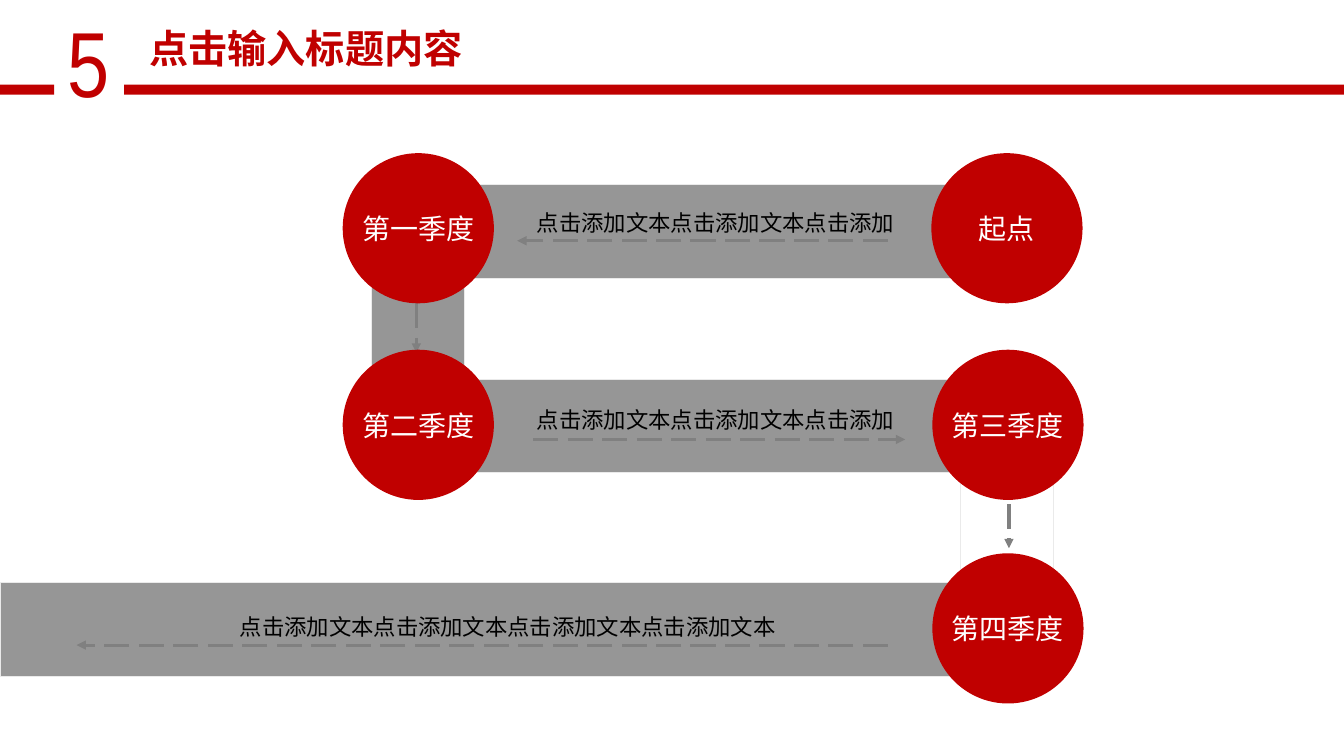
from lxml import etree
from pptx import Presentation
from pptx.dml.color import RGBColor
from pptx.enum import dml, shapes, text
from pptx.oxml.ns import qn
from pptx.util import Pt

RED, GREY, ARROW, EDGE = "C00000", "969696", "808080", "EAEAEA"
WHITE, BLACK = "FFFFFF", "000000"
CJK = "Noto Sans CJK SC"
CIRCLE_W, CIRCLE_H = 108, 107.3
LABEL = "点击添加文本"

# Each leg: band (left, top, width, height), band fill, arrow (x1, y1, x2, y2)
LEGS = [
    ((0, 306.7, 752.4, 67), GREY, (634.3, 351.4, 54.7, 351.4)),
    ((291.6, 162, 460.8, 66.2), GREY, (380.9, 204.5, 646.6, 204.5)),
    ((686.2, 193.7, 66.2, 182.9), WHITE, (720.7, 250.6, 720.7, 282.2)),
    ((329, 22.3, 422.6, 67), GREY, (634.3, 62.6, 369.4, 62.6)),
    ((265.7, 22.3, 66.2, 205.9), GREY, (297.4, 107.3, 297.4, 142.6)),
]
STOPS = [
    ("起点", 665.3, 0),
    ("第一季度", 244.8, 0),
    ("第二季度", 244.8, 140.4),
    ("第三季度", 666, 140.4),
    ("第四季度", 666, 285.8),
]
CAPTIONS = [
    (LABEL * 2 + "点击添加", 371.5, 26.6, 279.4),
    (LABEL * 2 + "点击添加", 371.5, 167.8, 279.4),
    (LABEL * 4, 91.4, 315.4, 542.9),
]


def colour(value):
    return RGBColor.from_string(value)


def write(frame, words, size, font, ink, align=text.PP_ALIGN.CENTER, bold=False):
    para = frame.paragraphs[0]
    para.alignment = align
    span = para.add_run()
    span.text = words
    span.font.size = Pt(size)
    span.font.name = font
    span.font.bold = bold
    span.font.color.rgb = colour(ink)
    if font == CJK:
        east_asian = etree.SubElement(span.font._element, qn("a:ea"))
        east_asian.set("typeface", font)
    return para


def add_block(page, kind, left, top, width, height, fill, edge=None):
    block = page.shapes.add_shape(kind, Pt(left), Pt(top), Pt(width), Pt(height))
    block.shadow.inherit = False
    block.fill.solid()
    block.fill.fore_color.rgb = colour(fill)
    if edge:
        block.line.color.rgb = colour(edge)
        block.line.width = Pt(0.75)
    else:
        block.line.fill.background()
    return block


def add_arrow(page, x1, y1, x2, y2):
    arrow = page.shapes.add_connector(
        shapes.MSO_CONNECTOR.STRAIGHT, Pt(x1), Pt(y1), Pt(x2), Pt(y2))
    arrow.line.color.rgb = colour(ARROW)
    arrow.line.width = Pt(2.25)
    arrow.line.dash_style = dml.MSO_LINE.LONG_DASH
    head = etree.SubElement(arrow.line._get_or_add_ln(), qn("a:tailEnd"))
    head.set("type", "triangle")
    etree.SubElement(arrow._element.spPr, qn("a:effectLst"))


def add_header(page, left, top, width):
    for offset, length in ((-2.2, 41), (88.6, width - 88.6)):
        add_block(page, shapes.MSO_SHAPE.RECTANGLE,
                  left + offset, top + 60.5, length, 7.2, RED)

    number = page.shapes.add_textbox(Pt(left + 41), Pt(top), Pt(24.5), Pt(87.1))
    number.text_frame.word_wrap = True
    write(number.text_frame, "5", 66, "Arial Narrow", RED, text.PP_ALIGN.LEFT)

    title = page.shapes.title
    title.left, title.top = Pt(left + 89.3), Pt(top + 13.7)
    title.width, title.height = Pt(258.5), Pt(41)
    frame = title.text_frame
    frame.auto_size = text.MSO_AUTO_SIZE.NONE
    frame.word_wrap = True
    frame.vertical_anchor = text.MSO_ANCHOR.MIDDLE
    write(frame, "点击输入标题内容", 28, CJK, RED, bold=True)


def add_route(page, left, top):
    """Draw the winding road from the start through the four quarters."""
    for (x, y, width, height), fill, (x1, y1, x2, y2) in LEGS:
        add_block(page, shapes.MSO_SHAPE.RECTANGLE,
                  left + x, top + y, width, height, fill, EDGE)
        add_arrow(page, left + x1, top + y1, left + x2, top + y2)

    for name, x, y in STOPS:
        stop = add_block(page, shapes.MSO_SHAPE.OVAL,
                         left + x, top + y, CIRCLE_W, CIRCLE_H, RED)
        stop.text_frame.word_wrap = False
        stop.text_frame.vertical_anchor = text.MSO_ANCHOR.MIDDLE
        write(stop.text_frame, name, 20, "Calibri", WHITE)

    for words, x, y, width in CAPTIONS:
        box = page.shapes.add_textbox(Pt(left + x), Pt(top + y), Pt(width), Pt(36))
        frame = box.text_frame
        frame.word_wrap = True
        frame.auto_size = text.MSO_AUTO_SIZE.SHAPE_TO_FIT_TEXT
        frame.vertical_anchor = text.MSO_ANCHOR.MIDDLE
        write(frame, words, 16, CJK, BLACK).line_spacing = 1.5


def main():
    deck = Presentation()
    deck.slide_width, deck.slide_height = Pt(960), Pt(540)
    page = deck.slides.add_slide(deck.slide_layouts[5])
    add_header(page, 0, 0, 960)
    add_route(page, 0, 109.4)
    deck.save("out.pptx")


if __name__ == "__main__":
    main()
